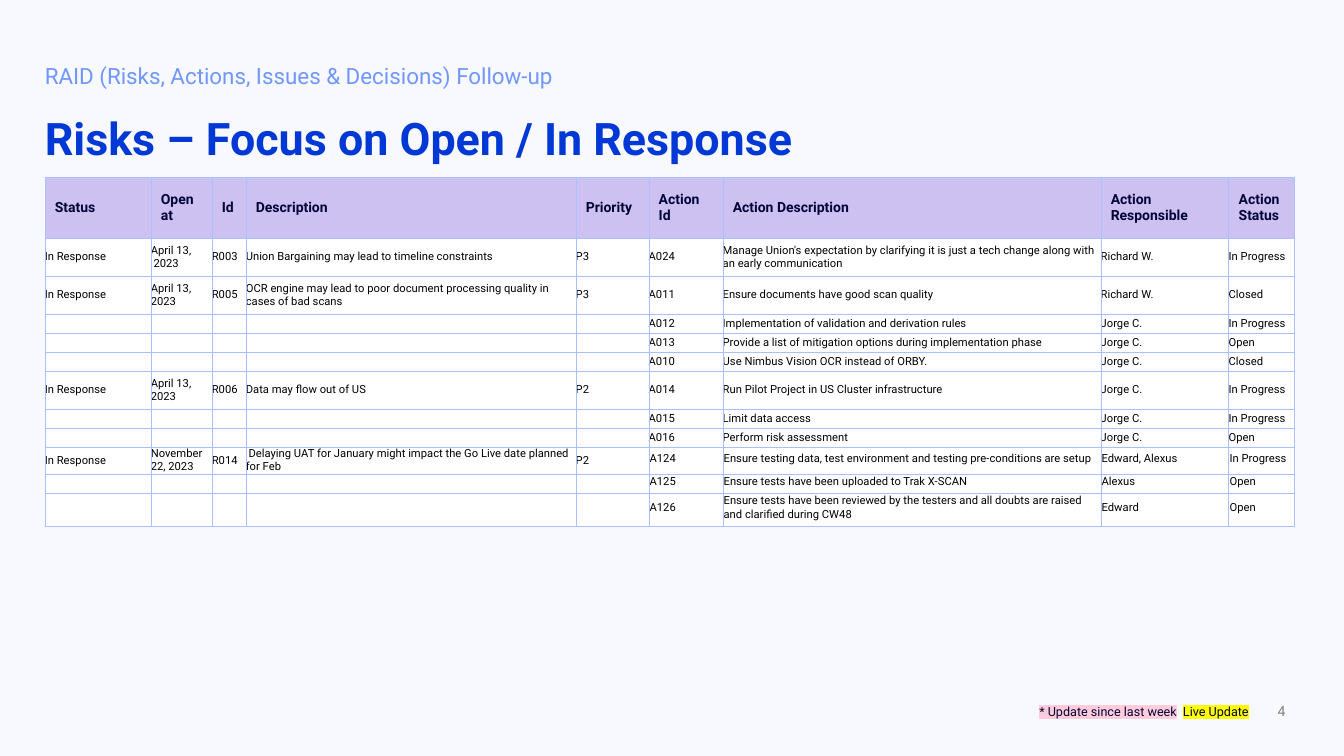
from lxml import etree
from pptx import Presentation
from pptx.dml.color import RGBColor
from pptx.enum.text import MSO_ANCHOR, PP_ALIGN
from pptx.oxml.ns import qn
from pptx.util import Pt

MIDDLE, TOP = MSO_ANCHOR.MIDDLE, MSO_ANCHOR.TOP
LEFT, CENTER, RIGHT = PP_ALIGN.LEFT, PP_ALIGN.CENTER, PP_ALIGN.RIGHT

FONT = "Roboto"
COLORS = {
    "background": "F7F9FF", "title": "0038D5", "subtitle": "7197FF",
    "number": "808080", "ink": "030436", "body": "000000",
    "header": "CDC1F2", "cell": "FFFFFF", "border": "AAC1FF",
    "weekly": "FFCCDC", "live": "FFFF00",
}

# Table content; blank leading cells belong to the risk above
HEADERS = ["Status", "Open at", "Id", "Description", "Priority", "Action Id",
           "Action Description", "Action Responsible", "Action Status"]
COLUMN_WIDTHS = [75.7, 43.6, 24.3, 235.7, 52.1, 52.9, 270, 91.4, 47.1]
HEADER_HEIGHT = 43.2
SINGLE, DOUBLE = 13.6, 27.2
FIRST_ACTION_COLUMN = 5
FIRST_PADDED_ROW = 9

# Each risk: its own cells, then its actions as (row height, cells)
RISKS = [
    (["In Response", "April 13,\n 2023", "R003",
      "Union Bargaining may lead to timeline constraints", "P3"],
     [(DOUBLE, ["A024", "Manage Union's expectation by clarifying it is just a tech "
                "change along with an early communication", "Richard W.", "In Progress"])]),
    (["In Response", "April 13,\n2023", "R005",
      "OCR engine may lead to poor document processing quality in cases of bad scans", "P3"],
     [(DOUBLE, ["A011", "Ensure documents have good scan quality", "Richard W.", "Closed"]),
      (SINGLE, ["A012", "Implementation of validation and derivation rules",
                "Jorge C.", "In Progress"]),
      (SINGLE, ["A013", "Provide a list of mitigation options during implementation phase",
                "Jorge C.", "Open"]),
      (SINGLE, ["A010", "Use Nimbus Vision OCR instead of ORBY.", "Jorge C.", "Closed"])]),
    (["In Response", "April 13,\n2023", "R006", "Data may flow out of US", "P2"],
     [(DOUBLE, ["A014", "Run Pilot Project in US Cluster infrastructure",
                "Jorge C.", "In Progress"]),
      (SINGLE, ["A015", "Limit data access", "Jorge C.", "In Progress"]),
      (SINGLE, ["A016", "Perform risk assessment", "Jorge C.", "Open"])]),
    (["In Response", "November 22, 2023", "R014",
      " Delaying UAT for January might impact the Go Live date planned for Feb", "P2"],
     [(18.6, ["A124", "Ensure testing data, test environment and testing pre-conditions "
              "are setup", "Edward, Alexus", "In Progress"]),
      (SINGLE, ["A125", "Ensure tests have been uploaded to Trak X-SCAN",
                "Alexus", "Open"]),
      (22.9, ["A126", "Ensure tests have been reviewed by the testers and all doubts "
              "are raised and clarified during CW48", "Edward", "Open"])]),
]


def style_font(paragraph, size, color, bold=False):
    font = paragraph.font
    font.name, font.size, font.bold = FONT, Pt(size), bold
    font.color.rgb = RGBColor.from_string(COLORS[color])


def add_text(slide, box, text, size, color, bold=False, align=LEFT, anchor=TOP, inset=7.2):
    frame = slide.shapes.add_textbox(*map(Pt, box)).text_frame
    frame.word_wrap = True
    frame.vertical_anchor = anchor
    frame.margin_left = Pt(inset)
    paragraph = frame.paragraphs[0]
    paragraph.text = text
    paragraph.alignment = align
    style_font(paragraph, size, color, bold)
    return paragraph


def add_highlighted_run(paragraph, text, color):
    run = paragraph.add_run()
    run.text = text
    highlight = etree.SubElement(run.font._element, qn("a:highlight"))
    etree.SubElement(highlight, qn("a:srgbClr"), val=COLORS[color])


def add_gap_run(paragraph, extra):
    """Add one space widened by extra points."""
    gap = paragraph.add_run()
    gap.text = " "
    gap.font._element.set("spc", str(round(extra * 100)))


def set_borders(cell):
    properties = cell._tc.get_or_add_tcPr()
    for index, side in enumerate(("a:lnL", "a:lnR", "a:lnT", "a:lnB")):
        line = etree.Element(qn(side), w=str(Pt(0.25)))
        fill = etree.SubElement(line, qn("a:solidFill"))
        etree.SubElement(fill, qn("a:srgbClr"), val=COLORS["border"])
        properties.insert(index, line)


def fill_cell(cell, text, fill, size, color, bold=False, margins=None):
    cell.fill.solid()
    cell.fill.fore_color.rgb = RGBColor.from_string(COLORS[fill])
    cell.vertical_anchor = MIDDLE
    if margins:
        (cell.margin_left, cell.margin_top,
         cell.margin_right, cell.margin_bottom) = map(Pt, margins)
    if text:
        cell.text = text
    for paragraph in cell.text_frame.paragraphs:
        style_font(paragraph, size, color, bold)
        if not text:  # keeps a blank row from growing
            etree.SubElement(paragraph._p, qn("a:endParaRPr"), sz=str(size * 100))
    set_borders(cell)


def add_risk_table(slide):
    action_rows = []
    for risk, actions in RISKS:
        for index, (height, action) in enumerate(actions):
            lead = risk if index == 0 else [""] * len(risk)
            action_rows.append((height, lead + action))
    heights = [HEADER_HEIGHT] + [height for height, _ in action_rows]

    table = slide.shapes.add_table(
        len(heights), len(HEADERS), Pt(32), Pt(126.6),
        Pt(sum(COLUMN_WIDTHS)), Pt(sum(heights))).table
    table.horz_banding = False
    for column, width in zip(table.columns, COLUMN_WIDTHS):
        column.width = Pt(width)
    for row, height in zip(table.rows, heights):
        row.height = Pt(height)

    for column, header in enumerate(HEADERS):
        fill_cell(table.cell(0, column), header, "header", 10, "ink", bold=True)
    for row, (_, texts) in enumerate(action_rows, start=1):
        for column, text in enumerate(texts):
            padded = row >= FIRST_PADDED_ROW and column >= FIRST_ACTION_COLUMN
            margins = (0.7, 0.7, 0.7, 3.6) if padded else (0, 0, 0, 0)
            fill_cell(table.cell(row, column), text, "cell", 8, "body", margins=margins)


def main():
    deck = Presentation()
    deck.slide_width, deck.slide_height = Pt(960), Pt(540)
    slide = deck.slides.add_slide(deck.slide_layouts[6])
    slide.background.fill.solid()
    slide.background.fill.fore_color.rgb = RGBColor.from_string(COLORS["background"])

    # Headings
    add_text(slide, (32, 75.6, 893, 46.8), "Risks – Focus on Open / In Response",
             32, "title", bold=True, inset=0)
    subtitle = add_text(slide, (32, 36.7, 893, 31),
                        "RAID (Risks, Actions, Issues & Decisions) Follow-up",
                        16, "subtitle", inset=0)
    subtitle.line_spacing = 1.2
    subtitle.space_after = Pt(6)

    add_risk_table(slide)

    # Footer: page number and update legend
    add_text(slide, (709.2, 498.2, 216, 19.4), "4", 10, "number",
             align=RIGHT, anchor=MIDDLE)
    legend = add_text(slide, (721.4, 488.2, 191.5, 39.6), "", 9, "ink",
                      align=CENTER, anchor=MIDDLE)
    add_highlighted_run(legend, "* Update since last week", "weekly")
    add_gap_run(legend, 2.2)
    add_highlighted_run(legend, "Live Update", "live")

    deck.save("out.pptx")


if __name__ == "__main__":
    main()
